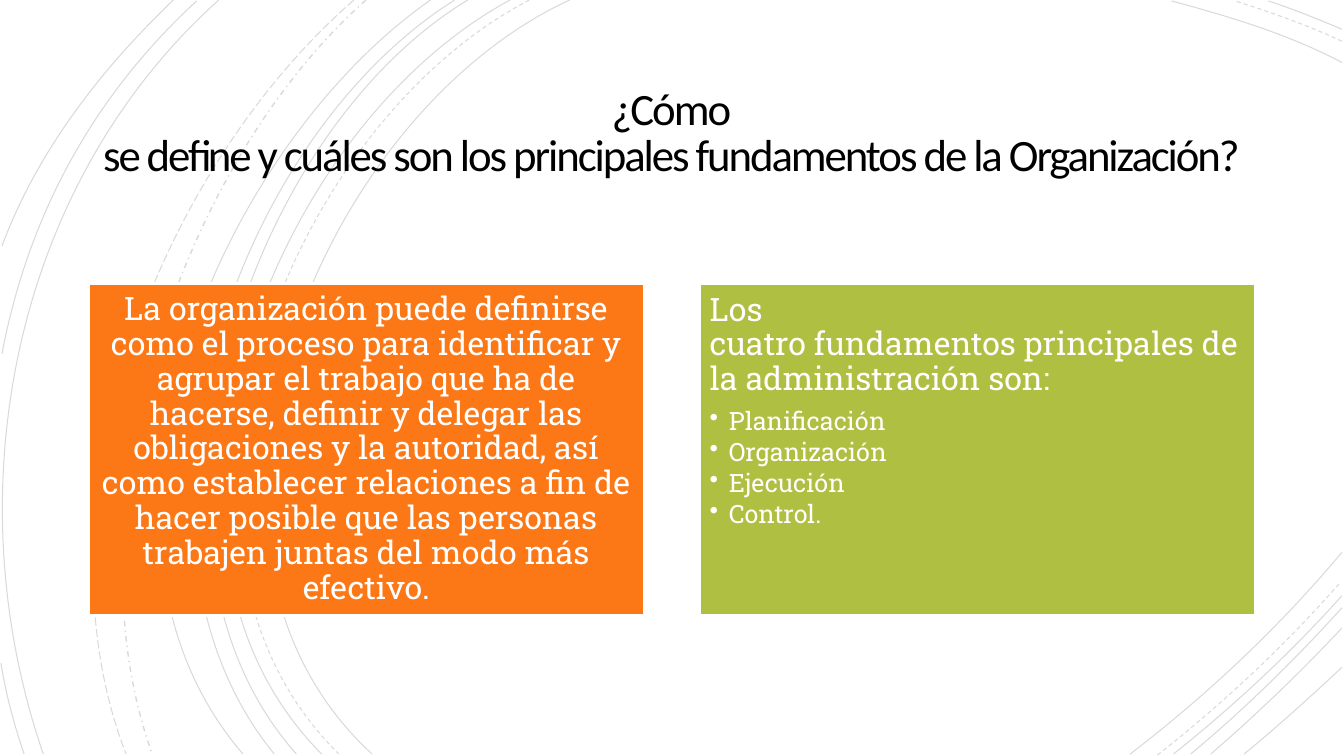
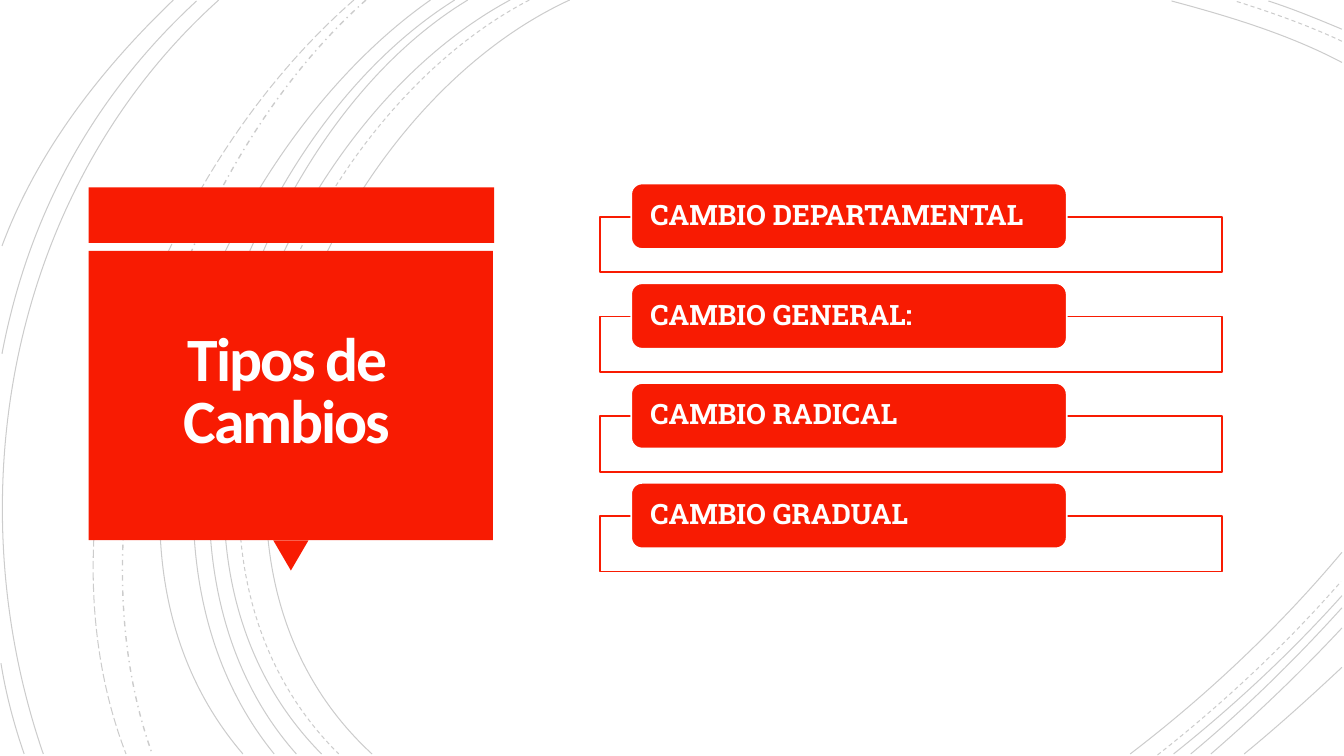
import pptx
import pptx.dml.color
import pptx.enum.dml
import pptx.enum.shapes
import pptx.enum.text
import pptx.oxml.ns
import pptx.oxml.xmlchemy
import pptx.util

Inches = pptx.util.Inches
Pt = pptx.util.Pt
Dash = pptx.enum.dml.MSO_LINE
Shape = pptx.enum.shapes.MSO_SHAPE
Align = pptx.enum.text.PP_ALIGN
Anchor = pptx.enum.text.MSO_ANCHOR
qn = pptx.oxml.ns.qn
new_element = pptx.oxml.xmlchemy.OxmlElement

COLORS = {
    "black": "000000",
    "white": "FFFFFF",
    "red": "F81B02",
    "orange": "FC7715",
    "green": "AFBF41",
}
TITLE_FONT = "Calibri"
BODY_FONT = "Roboto Slab"

ARCS = {
    (Dash.SOLID, 0.75): [
        [(5.65, 0), (3.15, 1.15), (1.43, 5.4), (3.69, 7.48)],
        [(5.06, 0), (2.7, 1.27), (1.1, 5.37), (3.19, 7.48)],
        [(4.64, 0), (2.44, 1.33), (1.1, 5.41), (2.94, 7.48)],
        [(4.51, 0), (2.31, 1.38), (0.97, 5.33), (2.72, 7.48)],
        [(4.27, 0), (2.17, 1.47), (0.53, 5.29), (2.41, 7.48)],
        [(2.17, 0), (0.11, 1.85), (-0.46, 4.9), (0.43, 7.48)],
        [(1.95, 0.01), (0.92, 0.96), (0.28, 2.14), (0.02, 3.51)],
        [(1.72, 0), (1, 0.69), (0.37, 1.5), (0.02, 2.44)],
        [(0.01, 6.58), (0.06, 6.89), (0.14, 7.19), (0.24, 7.48)],
        [(13.31, 0.62), (12.78, 0.34), (12.18, 0.16), (11.62, 0.01)],
        [(13.31, 0.29), (13.07, 0.19), (12.83, 0.09), (12.58, 0.01)],
        [(11.21, 7.48), (11.97, 6.9), (12.69, 6.22), (13.31, 5.48)],
        [(11.64, 7.48), (12.23, 7.01), (12.8, 6.48), (13.31, 5.91)],
        [(11.81, 7.48), (12.34, 7.04), (12.84, 6.55), (13.31, 6.03)],
        [(12.01, 7.48), (12.46, 7.09), (12.9, 6.67), (13.31, 6.23)],
        [(12.34, 7.48), (12.67, 7.21), (12.99, 6.92), (13.31, 6.62)],
    ],
    (Dash.DASH, 0.75): [
        [(5.25, 0), (2.85, 1.25), (1.23, 5.37), (3.36, 7.48)],
        [(13.31, 0.41), (12.97, 0.25), (12.6, 0.12), (12.25, 0.01)],
        [(11.48, 7.49), (12.13, 6.98), (12.75, 6.4), (13.3, 5.77)],
    ],
    (Dash.DASH_DOT, 1): [
        [(3.63, 0), (1.76, 1.66), (0.65, 5.09), (1.51, 7.48)],
    ],
    (Dash.LONG_DASH, 0.75): [
        [(3.51, 0), (1.57, 1.69), (0.29, 4.99), (1.25, 7.48)],
    ],
}


def rgb(name):
    return pptx.dml.color.RGBColor.from_string(COLORS[name])


def set_opacity(shape, percent):
    color = next(shape._element.spPr.iter(qn("a:srgbClr")))
    alpha = new_element("a:alpha")
    alpha.set("val", str(percent * 1000))
    color.append(alpha)


def add_arc(group, points, dash, width, opacity):
    start, *others = [(Inches(x), Inches(y)) for x, y in points]
    builder = group.shapes.build_freeform(*start)
    builder.add_line_segments(others, close=False)
    arc = builder.convert_to_shape()
    arc.shadow.inherit = False
    arc.fill.background()
    arc.line.color.rgb = rgb("black")
    arc.line.width = Pt(width)
    arc.line.dash_style = dash
    set_opacity(arc, opacity)

    curve = new_element("a:cubicBezTo")
    segments = list(arc._element.iter(qn("a:lnTo")))
    segments[0].addprevious(curve)
    for segment in segments:
        curve.append(segment[0])
        segment.getparent().remove(segment)


def add_page(deck, arc_opacity):
    page = deck.slides.add_slide(deck.slide_layouts[6])
    group = page.shapes.add_group_shape()
    for (dash, width), arcs in ARCS.items():
        for points in arcs:
            add_arc(group, points, dash, width, arc_opacity)
    return page


def add_box(page, kind, left, top, width, height, fill, line=None, line_width=1.25):
    box = page.shapes.add_shape(
        kind, Inches(left), Inches(top), Inches(width), Inches(height))
    box.shadow.inherit = False
    box.fill.solid()
    box.fill.fore_color.rgb = rgb(fill)
    if line:
        box.line.color.rgb = rgb(line)
        box.line.width = Pt(line_width)
    else:
        box.line.fill.background()
    return box


def set_frame(box, anchor, side_inset, end_inset):
    frame = box.text_frame
    frame.word_wrap = True
    frame.vertical_anchor = anchor
    frame.margin_left = frame.margin_right = Inches(side_inset)
    frame.margin_top = frame.margin_bottom = Inches(end_inset)
    return frame


def write(para, text, size, color="white", font=BODY_FONT, bold=False,
          align=Align.LEFT, spacing=0.9, after=0, tracking=None):
    para.alignment = align
    para.line_spacing = spacing
    para.space_after = Pt(after)
    for index, line in enumerate(text.split("\n")):
        if index:
            para.add_line_break()
        span = para.add_run()
        span.text = line
        span.font.name = font
        span.font.size = Pt(size)
        span.font.bold = bold
        span.font.color.rgb = rgb(color)
        if tracking:
            span.font._element.set("spc", str(int(tracking * 100)))


def add_bullet(para, indent):
    properties = para._p.get_or_add_pPr()
    properties.set("marL", str(Inches(indent)))
    properties.set("indent", str(-Inches(indent)))
    bullet = new_element("a:buChar")
    bullet.set("char", "•")
    properties.append(bullet)


def add_title(page, text, left, top, width, height, size, color, bold=False):
    box = page.shapes.add_textbox(
        Inches(left), Inches(top), Inches(width), Inches(height))
    frame = set_frame(box, Anchor.MIDDLE, 0.25, 0.25)
    write(frame.paragraphs[0], text, size, color, TITLE_FONT, bold,
          Align.CENTER, spacing=0.85, tracking=-1.5)


def add_panel(page, left, fill, anchor):
    box = add_box(page, Shape.RECTANGLE, left, 2.81, 5.51, 3.3, fill, "white", 2)
    return set_frame(box, anchor, 0.1, 0.1)


def add_change(page, top, text):
    outline = add_box(
        page, Shape.RECTANGLE, 5.95, top + 0.33, 6.17, 0.55, "white", "red")
    set_opacity(outline, 90)
    label = add_box(
        page, Shape.ROUNDED_RECTANGLE, 6.26, top, 4.32, 0.65, "red", "white")
    frame = set_frame(label, Anchor.MIDDLE, 0.16, 0)
    write(frame.paragraphs[0], text, 20, bold=True)


def build_organization(deck):
    page = add_page(deck, 15)
    add_title(
        page,
        "¿Cómo\nse define y cuáles son los principales fundamentos de la Organización?",
        0.63, 0.4, 12.06, 1.87, 32, "black")

    definition = add_panel(page, 0.88, "orange", Anchor.MIDDLE)
    write(
        definition.paragraphs[0],
        "La organización puede definirse como el proceso para identificar y "
        "agrupar el trabajo que ha de hacerse, definir y delegar las "
        "obligaciones y la autoridad, así como establecer relaciones a fin de "
        "hacer posible que las personas trabajen juntas del modo más efectivo.",
        23, align=Align.CENTER)

    fundamentals = add_panel(page, 6.94, "green", Anchor.TOP)
    write(
        fundamentals.paragraphs[0],
        "Los\ncuatro fundamentos principales de la administración son:",
        23, after=8)
    for item in ("Planificación", "Organización", "Ejecución", "Control."):
        para = fundamentals.add_paragraph()
        write(para, item, 18, after=2.7)
        add_bullet(para, 0.19)


def build_changes(deck):
    page = add_page(deck, 20)
    add_box(page, Shape.RECTANGLE, 0.88, 1.86, 4.02, 0.55, "red")
    pointer = add_box(page, Shape.ISOSCELES_TRIANGLE, 2.71, 5.36, 0.35, 0.3, "red")
    pointer.rotation = 180
    add_box(page, Shape.RECTANGLE, 0.88, 2.49, 4.01, 2.87, "red")
    add_title(page, "Tipos de Cambios", 0.93, 2.56, 3.83, 2.69, 44, "white", True)

    changes = ("CAMBIO DEPARTAMENTAL", "CAMBIO GENERAL:",
               "CAMBIO RADICAL", "CAMBIO GRADUAL")
    for index, text in enumerate(changes):
        add_change(page, 1.82 + 0.99 * index, text)


def main():
    deck = pptx.Presentation()
    deck.slide_width = Inches(13.33)
    deck.slide_height = Inches(7.5)
    build_organization(deck)
    build_changes(deck)
    deck.save("out.pptx")


if __name__ == "__main__":
    main()
